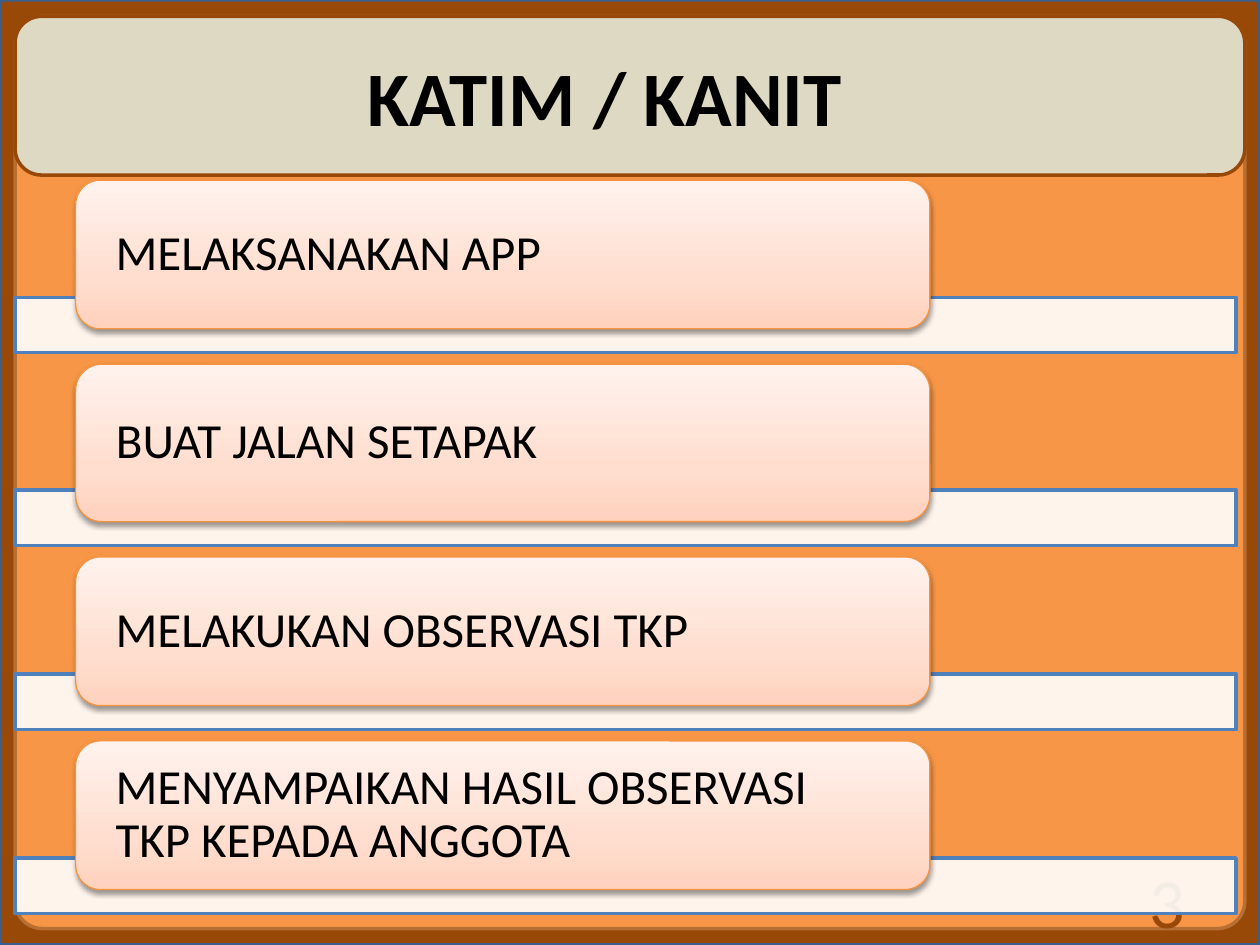
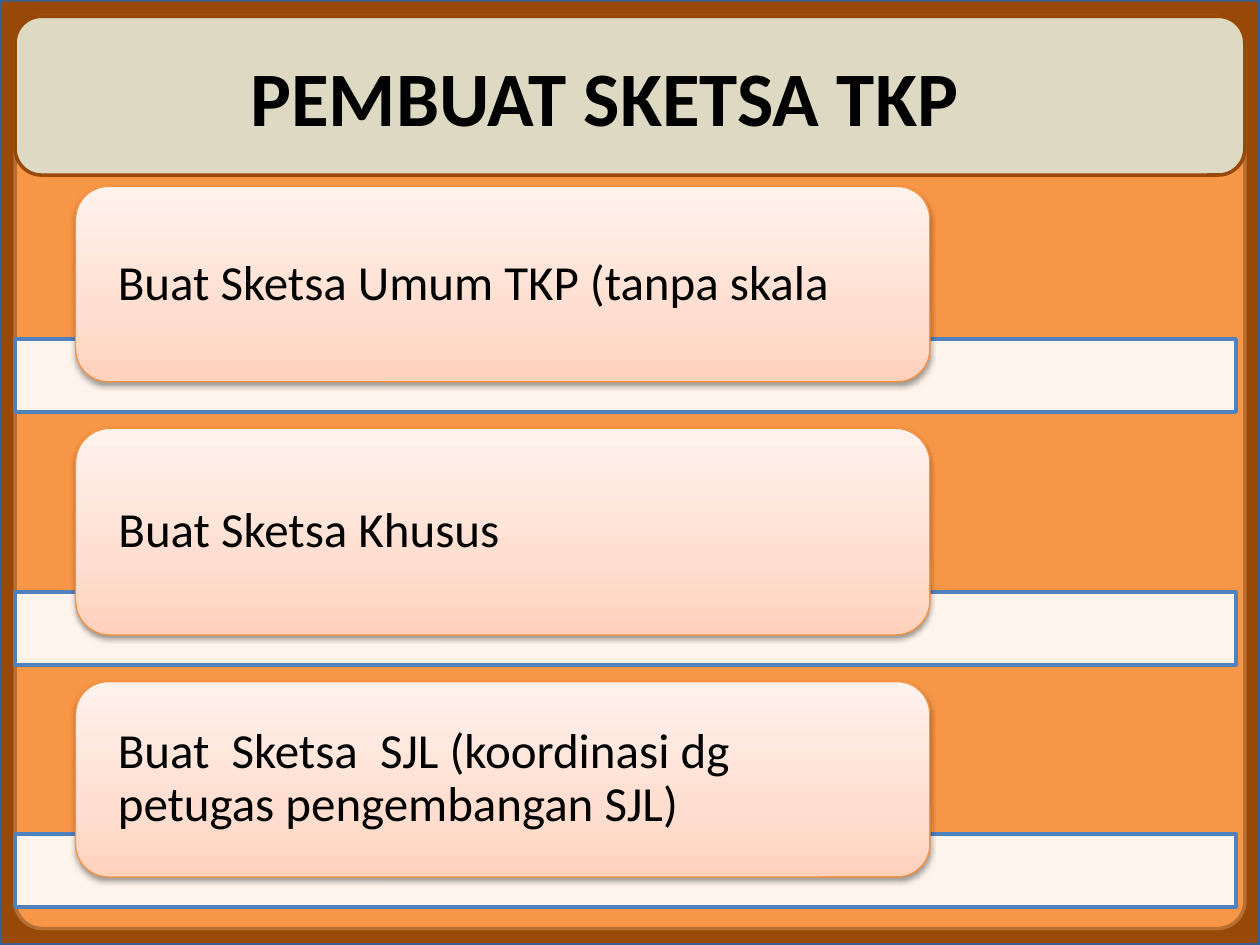
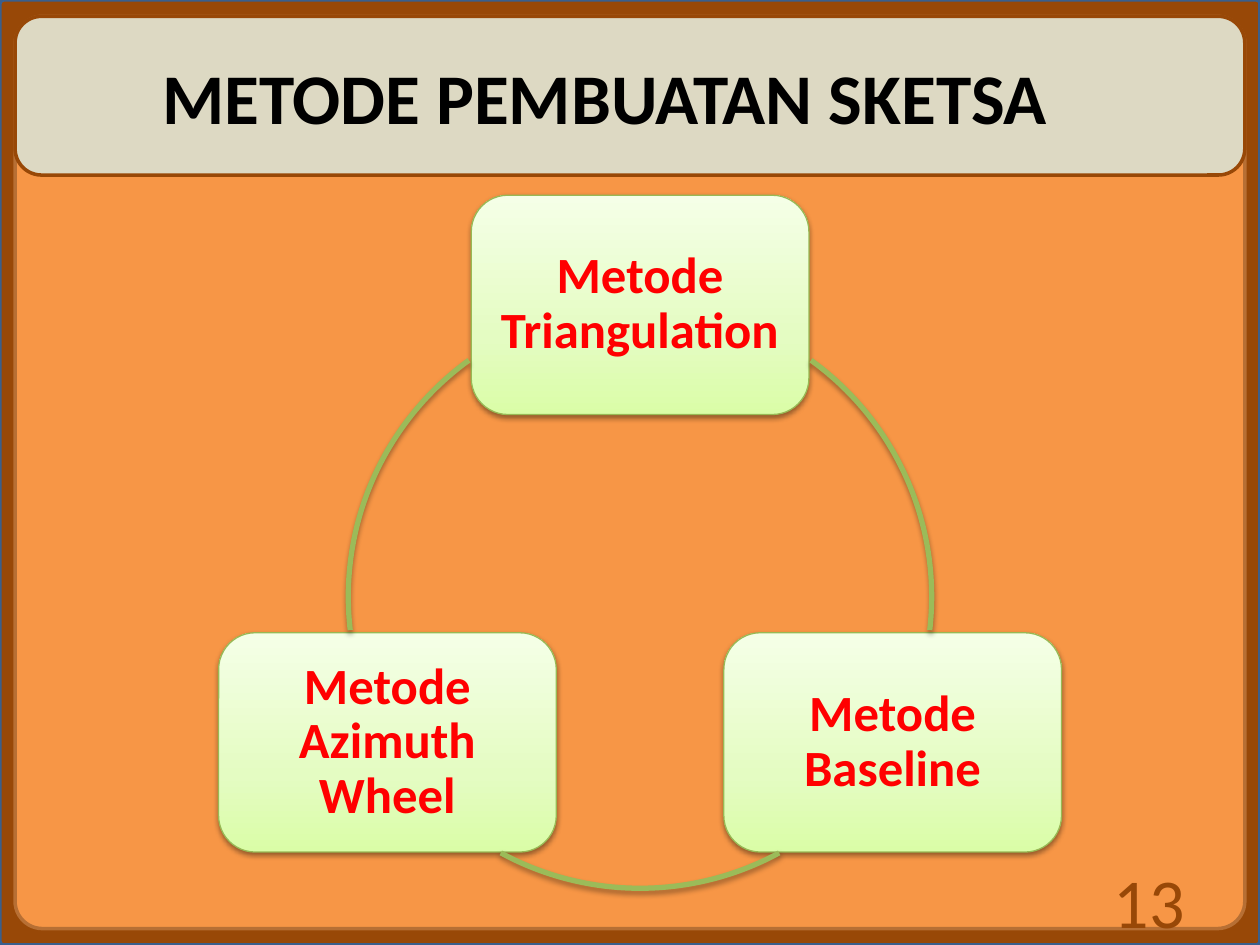
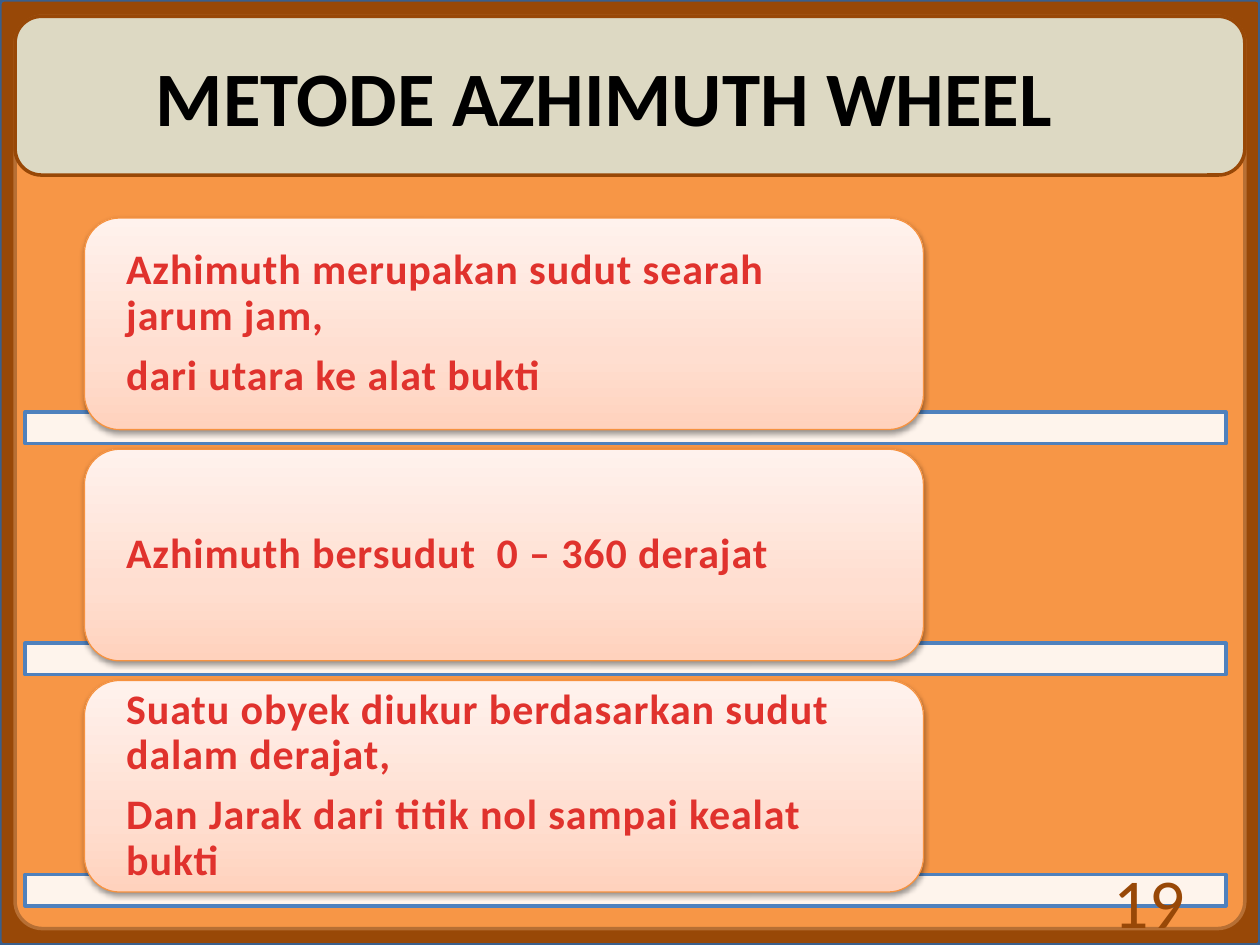
from math import cos, radians, sin

from lxml import etree
from pptx import Presentation
from pptx.dml.color import RGBColor
from pptx.enum.shapes import MSO_SHAPE
from pptx.enum.text import MSO_ANCHOR, PP_ALIGN
from pptx.oxml.ns import qn
from pptx.util import Inches, Pt

RECT, ROUNDED, ARC = MSO_SHAPE.RECTANGLE, MSO_SHAPE.ROUNDED_RECTANGLE, MSO_SHAPE.ARC
LEFT, CENTER, RIGHT = PP_ALIGN.LEFT, PP_ALIGN.CENTER, PP_ALIGN.RIGHT
MIDDLE = MSO_ANCHOR.MIDDLE

WIDTH, HEIGHT = Inches(10), Inches(7.5)
COLUMNS, ROWS = 100, 75
FONT = "Calibri"

BROWN, ORANGE, BEIGE = "984807", "F79646", "DDD9C3"
FRAME_LINE, PANEL_LINE = "3A5F8C", "B76F34"
BLACK, WHITE, RED, DEEP_RED = "000000", "FFFFFF", "FF0000", "E0322D"
BAR_LINE, CARD_LINE, NODE_LINE, RING_LINE = "4F81BD", "F69240", "98B955", "9BBB59"
PEACH = ((0, "FFD2BD"), (35, "FFDED0"), (100, "FFF2ED"))
LIME = ((0, "DAFDA7"), (35, "E4FCC2"), (100, "F5FFE7"))

HEADER = (1.2, 1.3, 97.6, 12.6)
TITLE = (9.8, 1.3, 76.4, 12.6)
PAGE_NUMBER = (71.7, 69.5, 23.3, 4)


def rgb(code):
    """Turn a hex string into a colour."""
    return RGBColor.from_string(code)


def place(left, top, width, height):
    """Turn grid columns and rows into slide lengths."""
    column, row = WIDTH / COLUMNS, HEIGHT / ROWS
    return int(left * column), int(top * row), int(width * column), int(height * row)


def child(parent, tag, **attributes):
    """Append a DrawingML element with the given attributes."""
    values = {name: str(value) for name, value in attributes.items()}
    return etree.SubElement(parent, qn(tag), values)


def write(frame, lines, size=28, color=BLACK, bold=False, align=LEFT,
          inset=(1, 0.5), line_spacing=None, gap=0, tracking=0):
    """Fill a text frame with one formatted paragraph for each line."""
    frame.word_wrap = True
    frame.vertical_anchor = MIDDLE
    side, edge, _, _ = place(*inset, 0, 0)
    frame.margin_left = frame.margin_right = side
    frame.margin_top = frame.margin_bottom = edge
    for index, line in enumerate(lines):
        paragraph = frame.add_paragraph() if index else frame.paragraphs[0]
        paragraph.alignment = align
        paragraph.line_spacing = line_spacing
        paragraph.space_after = Pt(gap * size)
        run = paragraph.add_run()
        run.text = line
        run.font.name, run.font.size, run.font.bold = FONT, Pt(size), bold
        run.font.color.rgb = rgb(color)
        if tracking:
            run.font._element.set("spc", str(int(tracking * 100)))


def add_label(slide, area, line, **style):
    """Add a text box holding one line."""
    write(slide.shapes.add_textbox(*place(*area)).text_frame, [line], **style)


def add_outlined(slide, kind, area, line, weight=2, fill=None, adjust=()):
    """Add a preset shape with an outline, an optional solid fill and no shadow."""
    shape = slide.shapes.add_shape(kind, *place(*area))
    shape.shadow.inherit = False
    shape.line.color.rgb, shape.line.width = rgb(line), Pt(weight)
    if fill:
        shape.fill.solid()
        shape.fill.fore_color.rgb = rgb(fill)
    else:
        shape.fill.background()
    for index, value in enumerate(adjust):
        shape.adjustments[index] = value
    return shape


def cast_shadow(shape, opacity, distance):
    """Give a shape a soft shadow straight below it."""
    effects = shape._element.spPr.find(qn("a:effectLst"))
    shadow = child(effects, "a:outerShdw", blurRad=Pt(3.1), dist=Pt(distance),
                   dir=5400000, rotWithShape=0)
    child(child(shadow, "a:srgbClr", val=BLACK), "a:alpha", val=opacity * 1000)


def add_card(slide, area, line, stops, lines, **style):
    """Add a rounded card with a vertical gradient, a shadow and text."""
    card = add_outlined(slide, ROUNDED, area, line, weight=0.75)
    card.fill.gradient()
    card.fill.gradient_angle = 90
    stop_list = card._element.spPr.find(qn("a:gradFill")).find(qn("a:gsLst"))
    for default in list(stop_list):
        stop_list.remove(default)
    for position, color in stops:
        stop = child(stop_list, "a:gs", pos=position * 1000)
        child(stop, "a:srgbClr", val=color)
    cast_shadow(card, 38, 1.6)
    write(card.text_frame, lines, line_spacing=0.9, gap=0.35, **style)


def add_bar(slide, area):
    """Add a slightly transparent white bar."""
    bar = add_outlined(slide, RECT, area, BAR_LINE, fill=WHITE)
    color = bar._element.spPr.find(qn("a:solidFill")).find(qn("a:srgbClr"))
    child(color, "a:alpha", val=90000)


def add_card_list(slide, cards, top, bar_height, overlap, gap,
                  bar_span=(1.2, 96.9), card_span=(6, 67.8), **style):
    """Stack cards downwards, each standing on its own bar."""
    for height, lines in cards:
        bar_top = top + height - overlap
        add_bar(slide, (bar_span[0], bar_top, bar_span[1], bar_height))
        add_card(slide, (card_span[0], top, card_span[1], height),
                 CARD_LINE, PEACH, lines, **style)
        top = bar_top + bar_height + gap


def add_ring(slide, methods, center=(50.8, 47.35), radius=23.15, node=(26.8, 17.4)):
    """Spread method cards evenly round a circle and join them with arcs."""
    width, height = node
    for index, method in enumerate(methods):
        angle = radians(index * 360 / len(methods) - 90)
        left = center[0] + radius * cos(angle) - width / 2
        top = center[1] + radius * sin(angle) - height / 2
        add_card(slide, (left, top, width, height), NODE_LINE, LIME, [method],
                 size=29, color=RED, bold=True, align=CENTER, inset=(1.2, 1.2))
    circle = (center[0] - radius, center[1] - radius, 2 * radius, 2 * radius)
    for start, end in ((305.9, 6.6), (61.5, 118.5), (173.4, 234.1)):
        arc = add_outlined(slide, ARC, circle, RING_LINE, weight=3,
                           adjust=(start * 0.6, end * 0.6))
        cast_shadow(arc, 35, 1.8)


def add_frame(slide, layout):
    """Draw the shared frame and hand it over to the layout."""
    for placeholder in list(layout.placeholders):
        layout.shapes._spTree.remove(placeholder._element)
    frame = [
        add_outlined(slide, ROUNDED, (0, 0, COLUMNS, ROWS), FRAME_LINE,
                     fill=BROWN, adjust=[0.004]),
        add_outlined(slide, ROUNDED, (1.2, 1.3, 97.6, 72.4), PANEL_LINE,
                     fill=ORANGE, adjust=[0.03]),
        add_outlined(slide, ROUNDED, HEADER, BROWN, fill=BEIGE),
    ]
    for part in frame:
        layout.shapes._spTree.append(part._element)


def add_title(slide, title, size=44):
    """Write the slide title in the header band."""
    add_label(slide, TITLE, title, size=size, bold=True, align=CENTER)


def add_page_number(slide, number):
    """Write the page number in the lower right corner."""
    add_label(slide, PAGE_NUMBER, number, size=40, color=BROWN, align=RIGHT)


def main():
    """Build the four slides and save them."""
    deck = Presentation()
    deck.slide_width, deck.slide_height = WIDTH, HEIGHT
    blank = deck.slide_layouts[6]
    leader, sketcher, methods, azimuth = [deck.slides.add_slide(blank) for _ in range(4)]
    add_frame(leader, blank)

    add_title(leader, "KATIM / KANIT")
    add_page_number(leader, "3")
    add_card_list(leader, [
        (11.8, ["MELAKSANAKAN APP"]),
        (12.5, ["BUAT JALAN SETAPAK"]),
        (11.8, ["MELAKUKAN OBSERVASI TKP"]),
        (11.8, ["MENYAMPAIKAN HASIL OBSERVASI TKP KEPADA ANGGOTA"]),
    ], top=14.3, bar_height=4.4, overlap=2.5, gap=0.9, inset=(2.6, 0))

    add_title(sketcher, "PEMBUAT SKETSA TKP")
    add_card_list(sketcher, [
        (15.5, ["Buat Sketsa Umum TKP (tanpa skala"]),
        (16.4, ["Buat Sketsa Khusus"]),
        (15.5, ["Buat  Sketsa  SJL (koordinasi dg petugas pengembangan SJL)"]),
    ], top=14.8, bar_height=5.8, overlap=3.4, gap=1.3, inset=(2.6, 0))

    add_page_number(methods, "13")
    add_title(methods, "METODE PEMBUATAN SKETSA", size=40.7)
    add_ring(methods, ["Metode Triangulation", "Metode Baseline", "Metode Azimuth Wheel"])

    add_title(azimuth, "METODE AZHIMUTH WHEEL")
    add_card_list(azimuth, [
        (16.8, ["Azhimuth merupakan sudut searah jarum jam,",
                "dari utara ke alat bukti"]),
        (16.8, ["Azhimuth bersudut  0 – 360 derajat"]),
        (16.8, ["Suatu obyek diukur berdasarkan sudut dalam derajat,",
                "Dan Jarak dari titik nol sampai kealat bukti"]),
    ], top=17.3, bar_height=2.5, overlap=1.4, gap=0.45,
        bar_span=(2, 95.3), card_span=(6.7, 66.6),
        size=24, color=DEEP_RED, bold=True, tracking=0.5, inset=(2.5, 0))
    add_page_number(azimuth, "19")

    deck.save("out.pptx")


if __name__ == "__main__":
    main()
